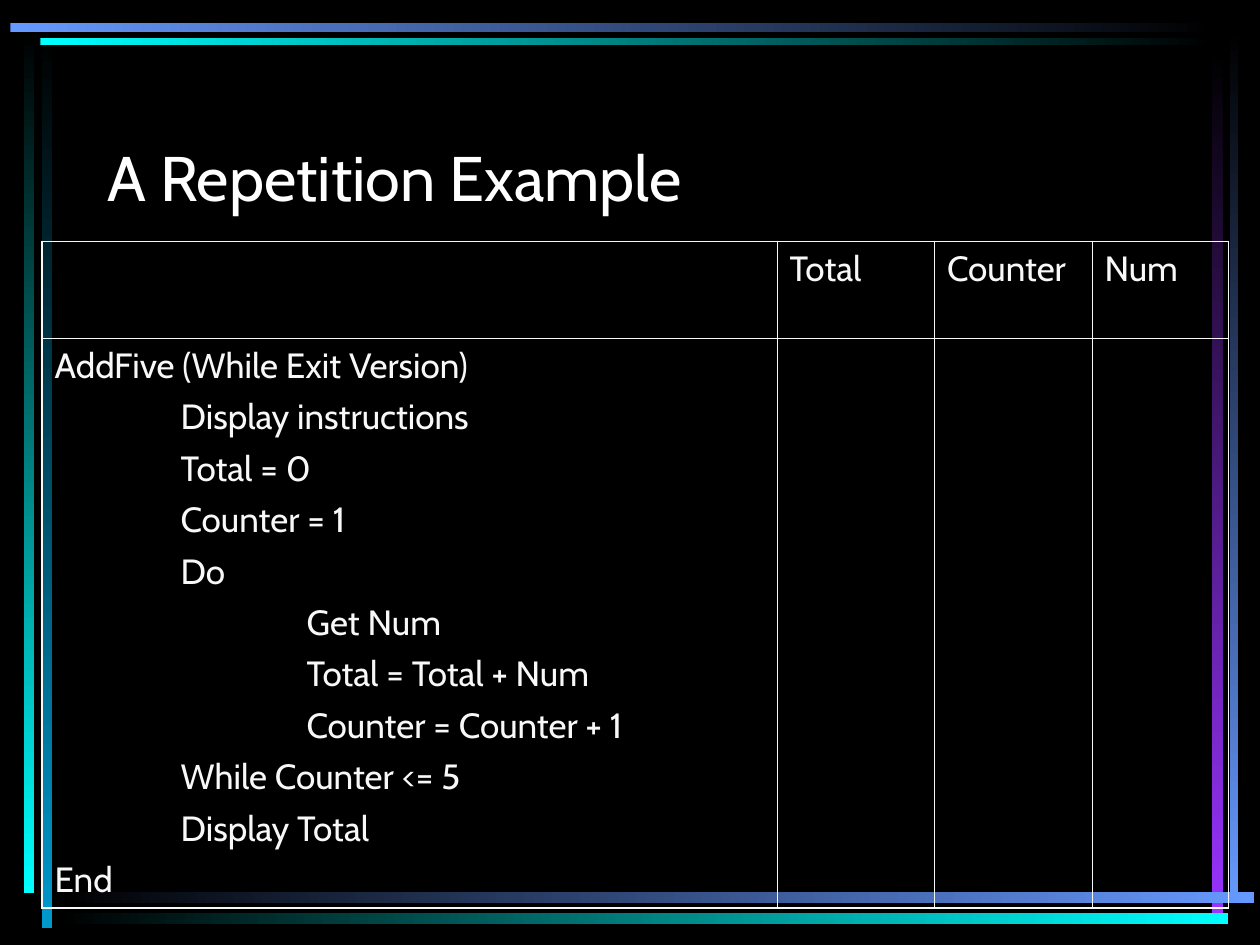
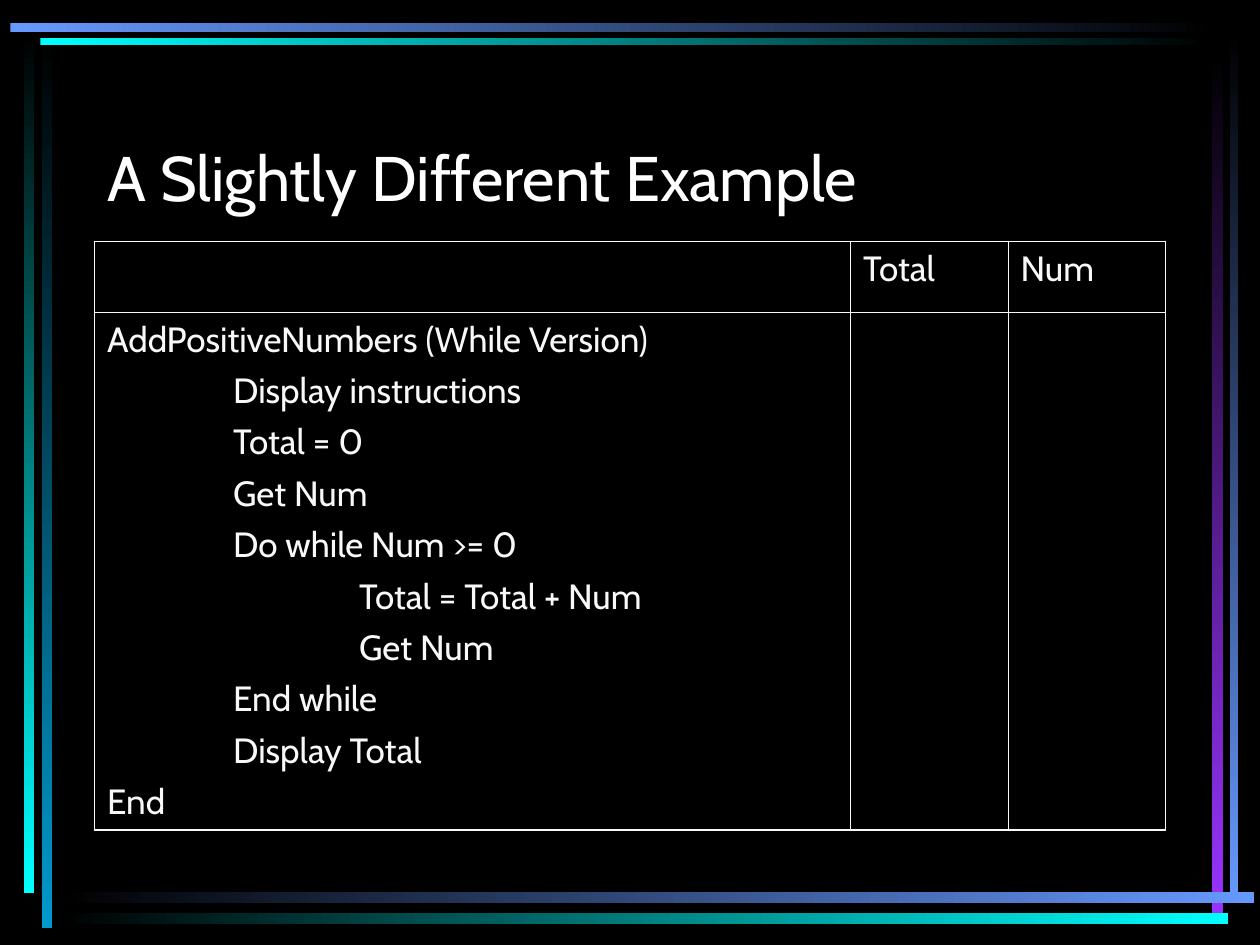
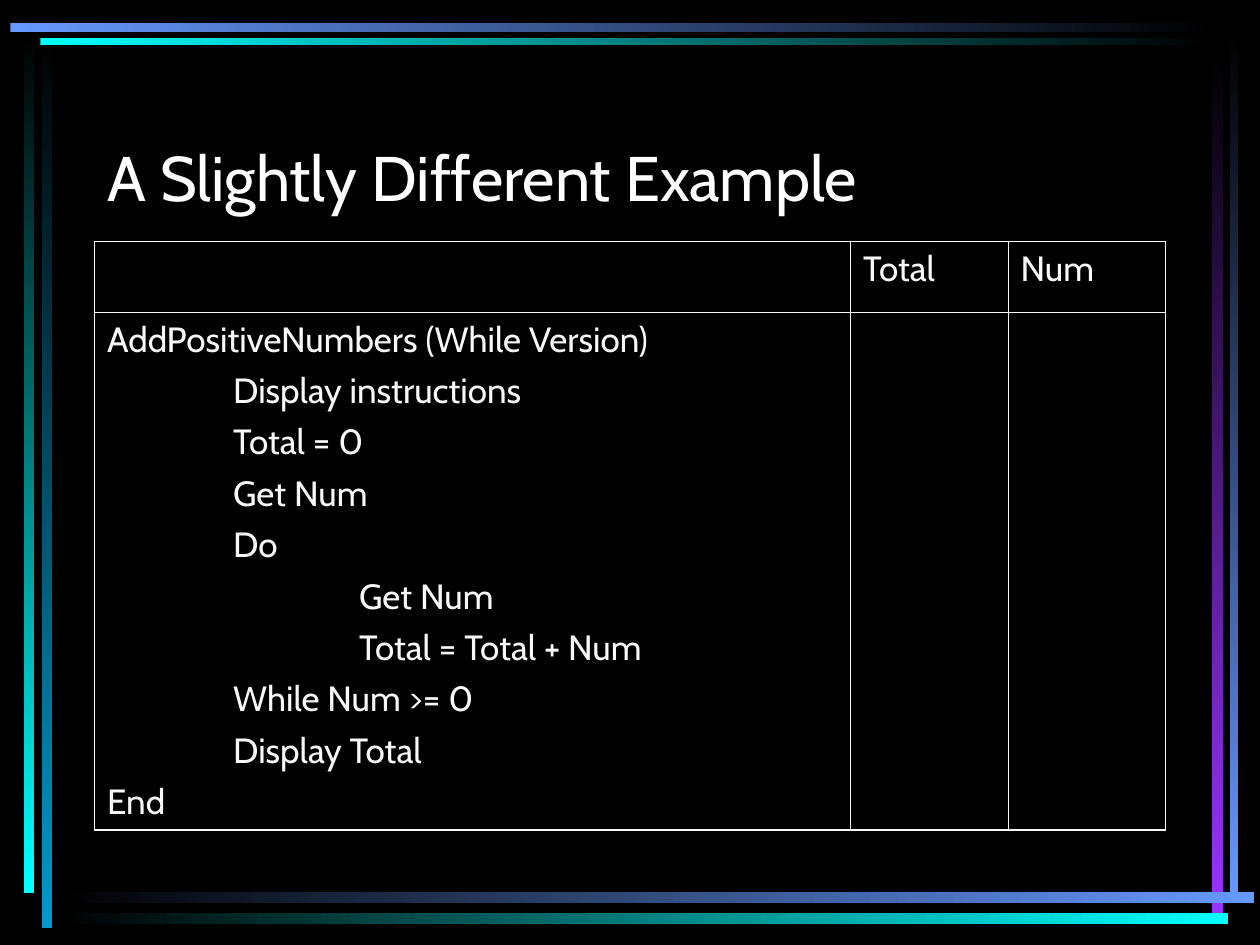
from pptx import Presentation
from pptx.dml.color import RGBColor
from pptx.enum.shapes import MSO_SHAPE
from pptx.enum.text import MSO_ANCHOR, MSO_AUTO_SIZE, PP_ALIGN
from pptx.oxml.ns import qn
from pptx.util import Inches, Pt
from lxml.etree import SubElement

BLACK = RGBColor(0x00, 0x00, 0x00)
WHITE = RGBColor(0xFF, 0xFF, 0xFF)
PALE = RGBColor(0xF8, 0xF8, 0xF8)
TEAL = RGBColor(0x00, 0x99, 0xCC)
CYAN = RGBColor(0x00, 0xFF, 0xFF)
BLUE = RGBColor(0x66, 0x99, 0xFF)
PURPLE = RGBColor(0x99, 0x33, 0xFF)

FONT = "Cabin"
COLS, ROWS = 120, 90
CELL = Inches(10) / COLS
PAGE = (0, 0, COLS, ROWS)
HEAD = (9, 8, 102, 13)
THICK, THIN = 1.08, 0.45
DOWN, RIGHT = 270, 0

BARS = [
    ((4, 3.36, 1, 85), DOWN, BLACK, TEAL),
    ((2.28, 3, 1, 82.1), DOWN, BLACK, CYAN),
    ((117.12, 2.88, 0.84, 83.16), DOWN, BLACK, BLUE),
    ((115.44, 5, 1, 82), DOWN, BLACK, PURPLE),
    ((5.4, 85, 114, 1), RIGHT, BLACK, BLUE),
    ((5.4, 87, 111.6, 1), RIGHT, BLACK, CYAN),
    ((3.84, 3.6, 111.84, 0.72), RIGHT, CYAN, BLACK),
    ((1, 2.22, 114.7, 0.84), RIGHT, BLUE, BLACK),
]

WIDE = ((4, 23, 113, 62), (70, 15, 15, 13), (9.24, 53.52))
SLIM = ((9, 23, 102, 55.4), (72, 15, 15), (6.72, 48.72))

SLIDES = [
    ("A Repetition Example", WIDE, ["Total", "Counter", "Num"], [
        (0, "AddFive (While Exit Version)"),
        (1, "Display instructions"),
        (1, "Total = 0"),
        (1, "Counter = 1"),
        (1, "Do"),
        (2, "Get Num"),
        (2, "Total = Total + Num"),
        (2, "Counter = Counter + 1"),
        (1, "While Counter <= 5"),
        (1, "Display Total"),
        (0, "End"),
    ]),
    ("A Slightly Different Example", SLIM, ["Total", "Num"], [
        (0, "AddPositiveNumbers (While Version)"),
        (1, "Display instructions"),
        (1, "Total = 0"),
        (1, "Get Num"),
        (1, "Do while Num >= 0"),
        (2, "Total = Total + Num"),
        (2, "Get Num"),
        (1, "End while"),
        (1, "Display Total"),
        (0, "End"),
    ]),
    ("A Slightly Different Example", SLIM, ["Total", "Num"], [
        (0, "AddPositiveNumbers (While Version)"),
        (1, "Display instructions"),
        (1, "Total = 0"),
        (1, "Get Num"),
        (1, "Do"),
        (2, "Get Num"),
        (2, "Total = Total + Num"),
        (1, "While Num >= 0"),
        (1, "Display Total"),
        (0, "End"),
    ]),
]


def grid(*cells):
    return [round(n * CELL) for n in cells]


def style(font, size, color):
    font.name = FONT
    font.size = Pt(size)
    font.color.rgb = color


def frame(slide, master, box):
    left, top = box[:2]
    for (x, y, wide, high), angle, start, end in BARS:
        bar = slide.shapes.add_shape(
            MSO_SHAPE.RECTANGLE, *grid(left + x, top + y, wide, high))
        bar.shadow.inherit = False
        bar.line.fill.background()
        bar.fill.gradient()
        bar.fill.gradient_angle = angle
        for stop, color in zip(bar.fill.gradient_stops, (start, end)):
            stop.color.rgb = color
        master.shapes.element.append(bar.element)


def title(slide, box, text):
    head = slide.shapes.title
    head.left, head.top, head.width, head.height = grid(*box)
    body = head.text_frame
    body.text = text
    body.word_wrap = True
    body.auto_size = MSO_AUTO_SIZE.NONE
    body.vertical_anchor = MSO_ANCHOR.BOTTOM
    para = body.paragraphs[0]
    para.alignment = PP_ALIGN.LEFT
    style(para.runs[0].font, 36, WHITE)


def edges(cell, sides):
    props = cell._tc.get_or_add_tcPr()
    for side, outer in sides:
        line = SubElement(props, qn("a:ln" + side),
                          w=str(Pt(THICK if outer else THIN)))
        fill = SubElement(line, qn("a:solidFill"))
        SubElement(fill, qn("a:srgbClr"), val=str(PALE))
    cell.fill.background()


def write(cell, lines):
    body = cell.text_frame
    for i, (depth, text) in enumerate(lines):
        para = body.add_paragraph() if i else body.paragraphs[0]
        para.text = "\t" * depth + text
        if i:
            para.space_before = Pt(5)
        if depth:
            tabs = SubElement(para._p.get_or_add_pPr(), qn("a:tabLst"))
            for n in range(1, depth + 1):
                SubElement(tabs, qn("a:tab"), pos=str(Inches(n)), algn="l")
        style(para.runs[0].font, 20, PALE)


def trace(slide, plan, names, code):
    box, wides, highs = plan
    table = slide.shapes.add_table(
        len(highs), len(wides), *grid(*box)).table
    table.first_row = table.horz_banding = False
    for col, wide in zip(table.columns, grid(*wides)):
        col.width = wide
    for row, high in zip(table.rows, grid(*highs)):
        row.height = high
    last, base = len(wides) - 1, len(highs) - 1
    for r in range(base + 1):
        for c in range(last + 1):
            edges(table.cell(r, c), [("L", c == 0), ("R", c == last),
                                     ("T", r == 0), ("B", r == base)])
    for c, name in enumerate(names, 1):
        write(table.cell(0, c), [(0, name)])
    write(table.cell(1, 0), code)


def main():
    deck = Presentation()
    deck.slide_width, deck.slide_height = grid(COLS, ROWS)
    master = deck.slide_master
    master.background.fill.solid()
    master.background.fill.fore_color.rgb = BLACK
    layout = deck.slide_layouts.get_by_name("Title Only")
    for i, (text, plan, names, code) in enumerate(SLIDES):
        slide = deck.slides.add_slide(layout)
        if i == 0:
            frame(slide, master, PAGE)
        title(slide, HEAD, text)
        trace(slide, plan, names, code)
    deck.save("out.pptx")


if __name__ == "__main__":
    main()
